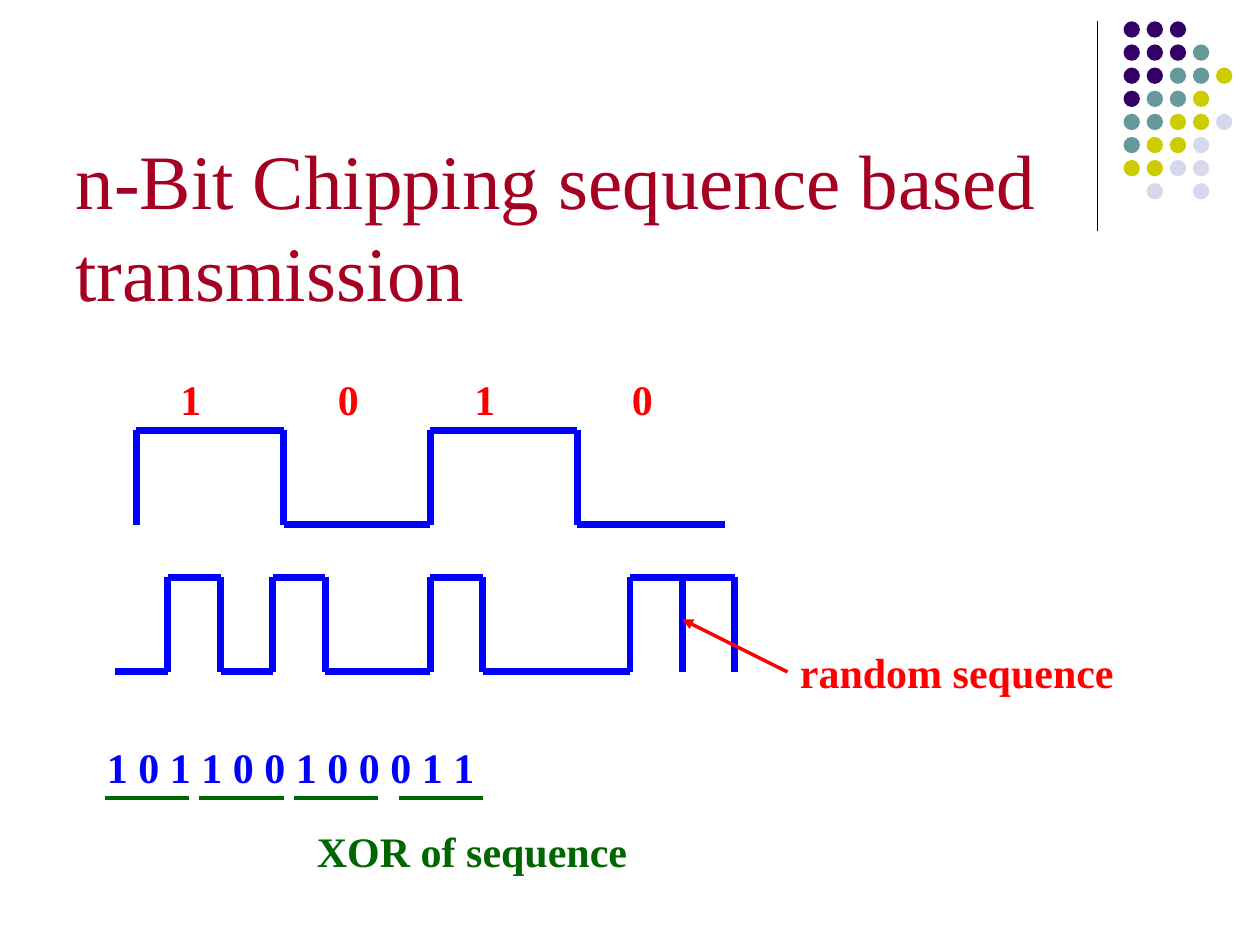
"""Builds the slide on chipping-sequence transmission with its two waveforms."""
from itertools import pairwise

from lxml.etree import SubElement
from pptx import Presentation
from pptx.dml.color import RGBColor
from pptx.enum.shapes import MSO_CONNECTOR, MSO_SHAPE
from pptx.enum.text import MSO_ANCHOR, MSO_AUTO_SIZE, PP_ALIGN
from pptx.oxml.ns import qn
from pptx.util import Cm, Pt

BLACK = RGBColor(0x00, 0x00, 0x00)
BLUE = RGBColor(0x00, 0x00, 0xFF)
RED = RGBColor(0xFF, 0x00, 0x00)
GREEN = RGBColor(0x00, 0x66, 0x00)
CRIMSON = RGBColor(0xA5, 0x00, 0x21)
DOT_COLORS = {
    "P": RGBColor(0x33, 0x00, 0x66),
    "T": RGBColor(0x66, 0x99, 0x99),
    "Y": RGBColor(0xCC, 0xCC, 0x00),
    "L": RGBColor(0xD8, 0xD8, 0xEC),
}
UNIT = Cm(2.54) // 12
DOT_PITCH = Cm(2.33) // 5

prs = Presentation()
prs.slide_width, prs.slide_height = Cm(25.4), Cm(19.05)
s = prs.slides.add_slide(prs.slide_layouts[5])


def add_line(x1, y1, x2, y2, color, width):
    line = s.shapes.add_connector(MSO_CONNECTOR.STRAIGHT, x1, y1, x2, y2)
    line.line.color.rgb = color
    line.line.width = Pt(width)
    SubElement(line._element.spPr, qn("a:effectLst"))
    return line


def set_text(sp, text, size, color, bold):
    tf = sp.text_frame
    tf.text = text
    tf.word_wrap = True
    tf.auto_size = MSO_AUTO_SIZE.NONE
    tf.vertical_anchor = MSO_ANCHOR.TOP
    p = tf.paragraphs[0]
    p.alignment = PP_ALIGN.LEFT
    p.font.name = "Times New Roman"
    p.font.size = Pt(size)
    p.font.bold = bold
    p.font.color.rgb = color


add_line(Cm(22.12), Cm(0.42), Cm(22.12), Cm(4.66), BLACK, 0.75)

dots = s.shapes.add_group_shape()
dot_rows = ["PPP", "PPPT", "PPTTY", "PTTY", "TTYYL", "TYYL", "YYLL", " L L"]
for row, codes in enumerate(dot_rows):
    for col, code in enumerate(codes):
        if code in DOT_COLORS:
            dot = dots.shapes.add_shape(
                MSO_SHAPE.OVAL, Cm(22.65) + col * DOT_PITCH, Cm(0.43) + row * DOT_PITCH,
                Cm(0.33), Cm(0.33))
            dot.shadow.inherit = False
            dot.fill.solid()
            dot.fill.fore_color.rgb = DOT_COLORS[code]
            dot.line.fill.background()

title = s.shapes.title
title.left, title.top, title.width, title.height = Cm(1.27), Cm(2.54), Cm(23.07), Cm(3.99)
set_text(title, "n-Bit Chipping sequence based transmission", 44, CRIMSON, False)

data_wave = [(13, 50), (13, 41), (27, 41), (27, 50), (41, 50),
             (41, 41), (55, 41), (55, 50), (69, 50)]
chip_wave = [(11, 64), (16, 64), (16, 55), (21, 55), (21, 64), (26, 64), (26, 55), (31, 55),
             (31, 64), (41, 64), (41, 55), (46, 55), (46, 64), (60, 64), (60, 55), (65, 55),
             (70, 55), (70, 64)]
chip_divider = [(65, 55), (65, 64)]
for wave in (data_wave, chip_wave, chip_divider):
    for (x1, y1), (x2, y2) in pairwise(wave):
        add_line(x1 * UNIT, y1 * UNIT, x2 * UNIT, y2 * UNIT, BLUE, 4)

arrow = add_line(65 * UNIT, 59 * UNIT, 75 * UNIT, 64 * UNIT, RED, 2)
SubElement(arrow.line._get_or_add_ln(), qn("a:headEnd"), type="triangle")

for x in (10, 19, 28, 38):
    add_line(x * UNIT, 76 * UNIT, (x + 8) * UNIT, 76 * UNIT, GREEN, 2)

labels = [
    ("1", 16, 35, 9, RED),
    ("0", 31, 35, 9, RED),
    ("1", 44, 35, 9, RED),
    ("0", 59, 35, 9, RED),
    ("random sequence", 75, 61, 45, RED),
    ("1 0 1 1 0 0 1 0 0 0 1 1", 9, 70, 107, BLUE),
    ("XOR of sequence", 29, 78, 37, GREEN),
]
for text, x, y, width, color in labels:
    sp = s.shapes.add_textbox(x * UNIT, y * UNIT, width * UNIT, 6 * UNIT)
    set_text(sp, text, 24, color, True)

prs.save("out.pptx")
